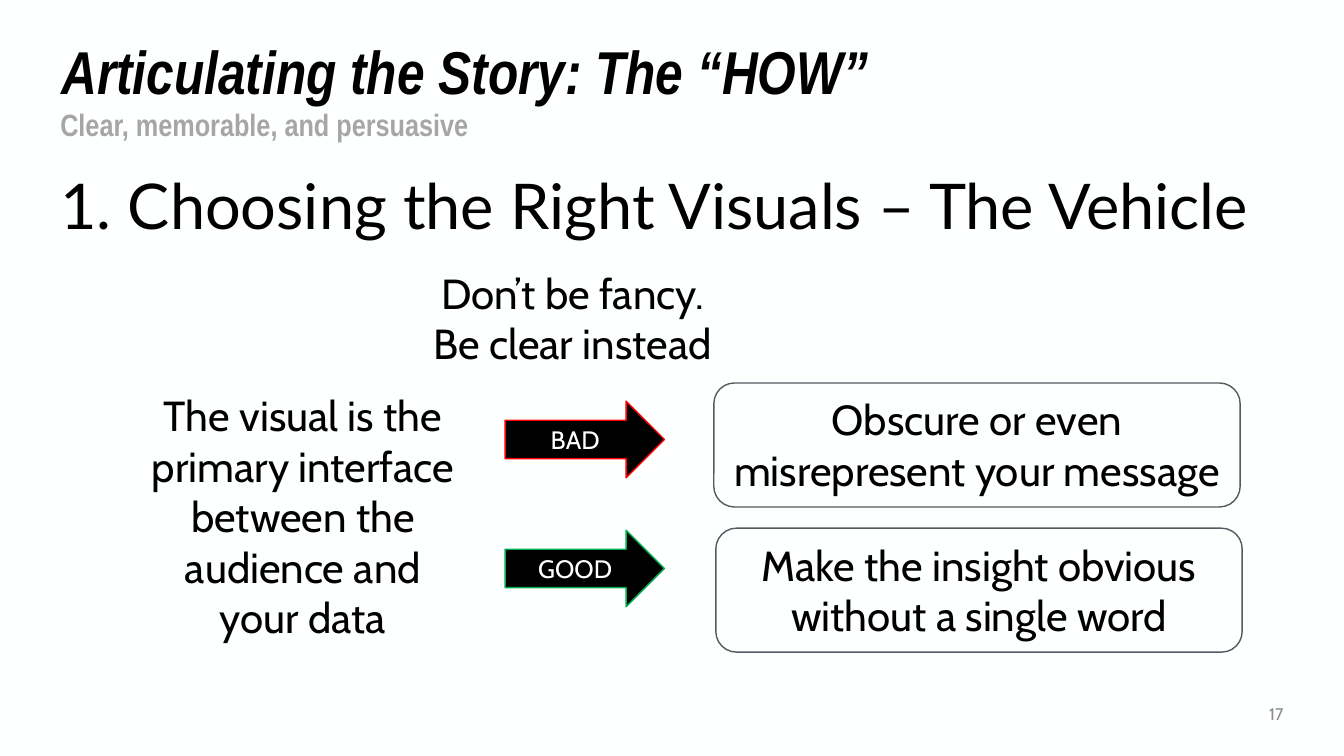
"""Build the slide on choosing the right visuals for a data story."""
import pptx
import pptx.dml.color
import pptx.enum.shapes
import pptx.enum.text
import pptx.util

PX = 9144
RGBColor = pptx.dml.color.RGBColor
BLACK = RGBColor(0x00, 0x00, 0x00)
WHITE = RGBColor(0xFE, 0xFF, 0xFF)
SUBTITLE_GRAY = RGBColor(0xA6, 0xA6, 0xA6)
NUMBER_GRAY = RGBColor(0x8C, 0x8C, 0x8C)
OUTLINE_GRAY = RGBColor(0x55, 0x59, 0x60)
RED = RGBColor(0xFF, 0x00, 0x00)
GREEN = RGBColor(0x00, 0xB0, 0x50)
LEFT, CENTER, RIGHT = (pptx.enum.text.PP_ALIGN.LEFT, pptx.enum.text.PP_ALIGN.CENTER,
                       pptx.enum.text.PP_ALIGN.RIGHT)
TOP, MIDDLE = pptx.enum.text.MSO_ANCHOR.TOP, pptx.enum.text.MSO_ANCHOR.MIDDLE
ROUNDED = pptx.enum.shapes.MSO_SHAPE.ROUNDED_RECTANGLE
ARROW = pptx.enum.shapes.MSO_SHAPE.RIGHT_ARROW

HEADING = {"name": "Arial Narrow", "size": 43.2, "color": BLACK, "bold": True, "italic": True}
SUBTITLE = {"name": "Arial Narrow", "size": 22, "color": SUBTITLE_GRAY, "bold": True}
TOPIC = {"name": "Lato", "size": 45, "color": BLACK}
STATEMENT = {"name": "Cabin", "size": 30, "color": BLACK}
ARROW_LABEL = {"name": "Cabin", "size": 18, "color": WHITE}
PAGE_NUMBER = {"name": "Cabin", "size": 12, "color": NUMBER_GRAY}


def write(shape, lines, style, alignment, anchor, spacing=1.0):
    """Fill a shape with formatted paragraphs."""
    frame = shape.text_frame
    frame.word_wrap = True
    frame.auto_size = pptx.enum.text.MSO_AUTO_SIZE.NONE
    frame.vertical_anchor = anchor
    frame.text = "\n".join(lines)
    for paragraph in frame.paragraphs:
        paragraph.alignment = alignment
        paragraph.line_spacing = spacing
        for attribute, value in style.items():
            if attribute == "color":
                paragraph.font.color.rgb = value
            elif attribute == "size":
                paragraph.font.size = pptx.util.Pt(value)
            else:
                setattr(paragraph.font, attribute, value)


def scale(*lengths):
    """Turn px lengths into EMU."""
    return [length * PX for length in lengths]


presentation = pptx.Presentation()
presentation.slide_width, presentation.slide_height = scale(1333, 750)
slide = presentation.slides.add_slide(presentation.slide_layouts[5])
slide.background.fill.solid()
slide.background.fill.fore_color.rgb = WHITE

title = slide.shapes.title
title.left, title.top, title.width, title.height = scale(51, 42, 1232, 64)
write(title, ["Articulating the Story: The “HOW”"], HEADING, LEFT, MIDDLE, 0.9)

text_boxes = [
    ((50, 104, 1233, 40), ["Clear, memorable, and persuasive"], SUBTITLE, LEFT, TOP, 0.9),
    ((50, 169, 1232, 487), ["1. Choosing the Right Visuals – The Vehicle"], TOPIC, LEFT, TOP, 0.9),
    ((348, 260, 440, 111), ["Don’t be fancy.", "Be clear instead"], STATEMENT, CENTER, TOP, 1.0),
    ((132, 382, 337, 263),
     ["The visual is the primary interface between the audience and your data"],
     STATEMENT, CENTER, TOP, 1.0),
    ((1163, 688, 120, 40), ["17"], PAGE_NUMBER, RIGHT, MIDDLE, 1.0),
]
for bounds, *content in text_boxes:
    write(slide.shapes.add_textbox(*scale(*bounds)), *content)

outlined_shapes = [
    (ROUNDED, (708, 380, 522, 123), WHITE, OUTLINE_GRAY,
     "Obscure or even misrepresent your message", STATEMENT, TOP),
    (ROUNDED, (710, 524, 522, 123), WHITE, OUTLINE_GRAY,
     "Make the insight obvious without a single word", STATEMENT, TOP),
    (ARROW, (501, 398, 158, 76), BLACK, RED, "BAD", ARROW_LABEL, MIDDLE),
    (ARROW, (501, 526, 158, 76), BLACK, GREEN, "GOOD", ARROW_LABEL, MIDDLE),
]
for preset, bounds, fill, outline, text, style, anchor in outlined_shapes:
    shape = slide.shapes.add_shape(preset, *scale(*bounds))
    shape.shadow.inherit = False
    shape.fill.solid()
    shape.fill.fore_color.rgb = fill
    shape.line.color.rgb = outline
    shape.line.width = pptx.util.Pt(1)
    write(shape, [text], style, CENTER, anchor)

presentation.save("out.pptx")
